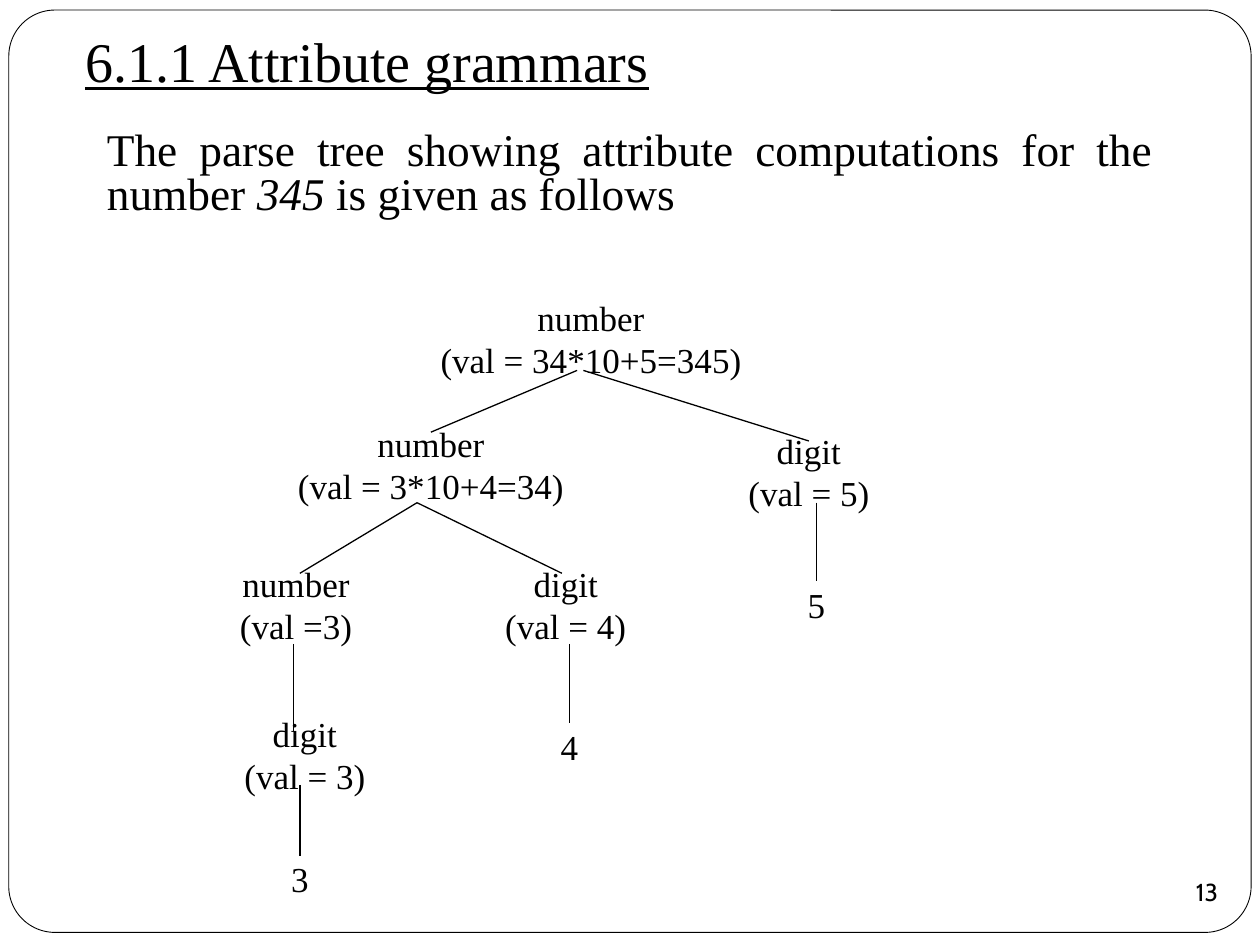
from typing import NamedTuple, Optional

from lxml import etree
from pptx import Presentation
from pptx.dml.color import RGBColor
from pptx.enum.shapes import MSO_CONNECTOR, MSO_SHAPE
from pptx.enum.text import MSO_ANCHOR, PP_ALIGN
from pptx.oxml.ns import qn
from pptx.util import Inches, Pt

BLACK = RGBColor(0x00, 0x00, 0x00)
WHITE = RGBColor(0xFF, 0xFF, 0xFF)
SERIF = "Times New Roman"
SANS = "Cabin"
CENTER, JUSTIFY = PP_ALIGN.CENTER, PP_ALIGN.JUSTIFY
MIDDLE, BOTTOM = MSO_ANCHOR.MIDDLE, MSO_ANCHOR.BOTTOM
STRAIGHT = MSO_CONNECTOR.STRAIGHT
ROUNDED, OVAL = MSO_SHAPE.ROUNDED_RECTANGLE, MSO_SHAPE.OVAL
TOP_SIDE = 0
NODE_HEIGHT = 0.37


class Node(NamedTuple):
    lines: tuple[str, ...]
    left: float
    top: float
    width: float


class Branch(NamedTuple):
    start: tuple[float, float]
    end: tuple[float, float]
    leaf: Optional[str] = None


# Each node is wide enough to hold its value on one line
NODES = [
    Node(("number", "(val = 34*10+5=345)"), 3.34, 2.5, 2.7),
    Node(("number", "(val = 3*10+4=34)"), 2.22, 3.5, 2.4),
    Node(("digit", "(val = 5)"), 5.77, 3.56, 1.3),
    Node(("number", "(val =3)"), 1.7, 4.61, 1.3),
    Node(("digit", "(val = 4)"), 3.84, 4.61, 1.3),
    Node(("digit", "(val = 3)"), 1.77, 5.8, 1.3),
    Node(("5",), 6.19, 4.61, 0.58),
    Node(("4",), 4.23, 5.74, 0.58),
    Node(("3",), 2.09, 6.79, 0.58),
]

BRANCHES = [
    Branch((4.58, 2.94), (3.42, 3.43)),
    Branch((4.63, 2.94), (6.42, 3.5)),
    Branch((3.31, 3.99), (2.38, 4.55)),
    Branch((3.31, 3.99), (4.46, 4.55)),
    Branch((2.33, 5.11), (2.33, 5.8)),
    Branch((6.48, 3.99), (6.48, 4.61), "5"),
    Branch((4.52, 5.11), (4.52, 5.74), "4"),
    Branch((2.38, 6.23), (2.38, 6.79), "3"),
]


def add_run(paragraph, text: str, size: float, name: str = SERIF):
    run = paragraph.add_run()
    run.text = text
    run.font.size = Pt(size)
    run.font.name = name
    run.font.color.rgb = BLACK
    return run


def add_text_box(slide, left: float, top: float, width: float, height: float):
    shape = slide.shapes.add_textbox(
        Inches(left), Inches(top), Inches(width), Inches(height))
    shape.text_frame.word_wrap = True
    return shape


def add_node(slide, node: Node):
    shape = add_text_box(slide, node.left, node.top, node.width, NODE_HEIGHT)
    frame = shape.text_frame
    frame.vertical_anchor = MIDDLE
    for index, line in enumerate(node.lines):
        paragraph = frame.add_paragraph() if index else frame.paragraphs[0]
        paragraph.alignment = CENTER
        add_run(paragraph, line, 20)
    return shape


def add_branch(slide, branch: Branch, leaves: dict) -> None:
    points = [Inches(value) for value in branch.start + branch.end]
    connector = slide.shapes.add_connector(STRAIGHT, *points)
    connector.line.color.rgb = BLACK
    connector.line.width = Pt(0.75)
    etree.SubElement(connector._element.spPr, qn("a:effectLst"))
    if branch.leaf:
        connector.end_connect(leaves[branch.leaf], TOP_SIDE)


def add_frame(slide) -> None:
    shape = slide.shapes.add_shape(
        ROUNDED, Inches(0.07), Inches(0.08), Inches(9.86), Inches(7.32))
    shape.adjustments[0] = 0.05
    shape.shadow.inherit = False
    shape.fill.solid()
    shape.fill.fore_color.rgb = WHITE
    shape.line.color.rgb = BLACK
    shape.line.width = Pt(0.5)


def add_heading(slide) -> None:
    frame = add_text_box(slide, 0.58, 0.42, 8.5, 0.42).text_frame
    frame.vertical_anchor = BOTTOM
    frame.margin_bottom = Inches(0.1)
    run = add_run(frame.paragraphs[0], "6.1.1 Attribute grammars", 32)
    run.font.underline = True


def add_introduction(slide) -> None:
    frame = add_text_box(slide, 0.75, 1, 8.5, 0.83).text_frame
    paragraph = frame.paragraphs[0]
    paragraph.alignment = JUSTIFY
    paragraph.line_spacing = 0.8
    add_run(paragraph,
            "The parse tree showing attribute computations for the number ", 25.9)
    add_run(paragraph, "345", 25.9).font.italic = True
    add_run(paragraph, " is given as follows", 25.9)


def add_page_number(slide) -> None:
    shape = slide.shapes.add_shape(
        OVAL, Inches(9.33), Inches(6.83), Inches(0.5), Inches(0.5))
    shape.shadow.inherit = False
    shape.fill.background()
    shape.line.fill.background()
    frame = shape.text_frame
    frame.word_wrap = False
    frame.vertical_anchor = MIDDLE
    frame.margin_left = frame.margin_right = 0
    frame.margin_top = frame.margin_bottom = 0
    frame.paragraphs[0].alignment = CENTER
    add_run(frame.paragraphs[0], "13", 14, SANS)


def main() -> None:
    presentation = Presentation()
    presentation.slide_width = Inches(10)
    presentation.slide_height = Inches(7.5)
    slide = presentation.slides.add_slide(presentation.slide_layouts[6])

    # Border and text
    add_frame(slide)
    add_heading(slide)
    add_introduction(slide)

    # Parse tree
    shapes = {node.lines[-1]: add_node(slide, node) for node in NODES}
    for branch in BRANCHES:
        add_branch(slide, branch, shapes)

    add_page_number(slide)
    presentation.save("out.pptx")


if __name__ == "__main__":
    main()
